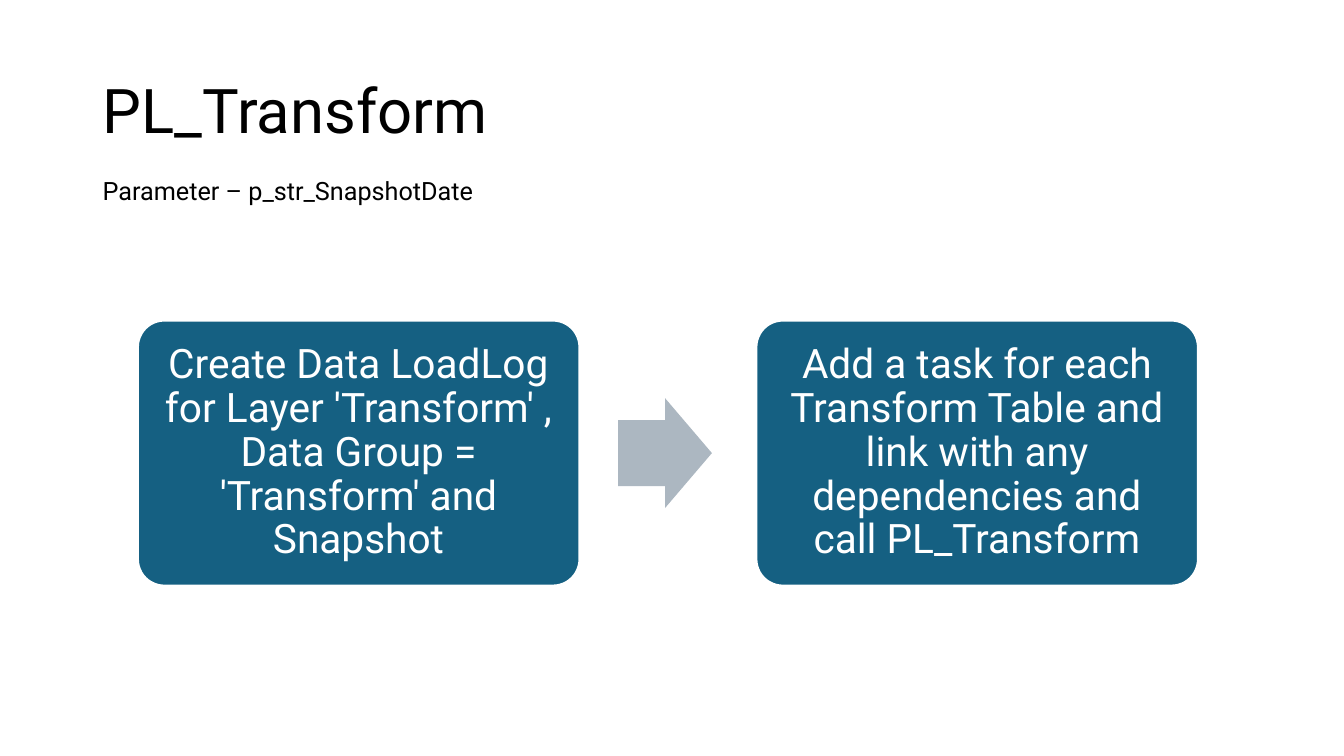
from pptx import Presentation
from pptx.dml.color import RGBColor
from pptx.enum.shapes import MSO_SHAPE
from pptx.enum.text import MSO_ANCHOR, MSO_AUTO_SIZE, PP_ALIGN
from pptx.util import Inches, Pt

WIDTH, HEIGHT = 13.33, 7.5


def color(hex_string):
    return RGBColor.from_string(hex_string)


class FlowSlide:
    """Style and current slide; lengths are shares (x, y, width, height) in percent."""

    font = "Roboto"
    black, white, teal, gray = "000000", "FFFFFF", "156082", "ACB7C1"

    def __init__(self, presentation):
        self.slide = presentation.slides.add_slide(presentation.slide_layouts[5])

    def frame(self, left, top, width, height):
        return (Inches(WIDTH * left / 100), Inches(HEIGHT * top / 100),
                Inches(WIDTH * width / 100), Inches(HEIGHT * height / 100))

    def set_text(self, shape, text, size, text_color, align=PP_ALIGN.LEFT, spacing=1.0):
        text_frame = shape.text_frame
        text_frame.text = text
        text_frame.word_wrap = True
        text_frame.auto_size = MSO_AUTO_SIZE.NONE
        paragraph = text_frame.paragraphs[0]
        paragraph.alignment = align
        paragraph.line_spacing = spacing
        for run in paragraph.runs:
            run.font.name = self.font
            run.font.size = Pt(size)
            run.font.color.rgb = color(text_color)
        return text_frame

    def title(self, text, *share):
        title = self.slide.shapes.title
        title.left, title.top, title.width, title.height = self.frame(*share)
        text_frame = self.set_text(title, text, 44, self.black, spacing=0.9)
        text_frame.vertical_anchor = MSO_ANCHOR.MIDDLE

    def label(self, text, *share):
        box = self.slide.shapes.add_textbox(*self.frame(*share))
        self.set_text(box, text, 18, self.black)

    def block(self, kind, fill, adjustments, *share):
        shape = self.slide.shapes.add_shape(kind, *self.frame(*share))
        shape.shadow.inherit = False
        shape.fill.solid()
        shape.fill.fore_color.rgb = color(fill)
        shape.line.fill.background()
        for index, value in enumerate(adjustments):
            shape.adjustments[index] = value
        return shape

    def step(self, text, *share):
        shape = self.block(MSO_SHAPE.ROUNDED_RECTANGLE, self.teal, [0.1], *share)
        shape.line.color.rgb = color(self.white)
        shape.line.width = Pt(1.5)
        text_frame = self.set_text(shape, text, 29, self.white, PP_ALIGN.CENTER, 0.9)
        text_frame.vertical_anchor = MSO_ANCHOR.MIDDLE
        text_frame.margin_left = text_frame.margin_right = Inches(0.12)
        text_frame.margin_top = text_frame.margin_bottom = Inches(0.12)

    def arrow(self, *share):
        self.block(MSO_SHAPE.RIGHT_ARROW, self.gray, [0.6, 0.5], *share)


def main():
    presentation = Presentation()
    presentation.slide_width = Inches(WIDTH)
    presentation.slide_height = Inches(HEIGHT)
    flow = FlowSlide(presentation)

    # Heading
    flow.title("PL_Transform", 6.9, 5.33, 86.25, 19.33)
    flow.label("Parameter – p_str_SnapshotDate", 6.9, 22.5, 57.4, 5.33)

    # Steps, with an arrow in each gap
    steps = [
        "Create Data LoadLog for Layer 'Transform' , Data Group = 'Transform' and Snapshot",
        "Add a task for each Transform Table and link with any dependencies and call PL_Transform",
    ]
    left, top, width, height, pitch = 10.26, 42.4, 32.86, 35.07, 46.02
    arrow_width, arrow_height = 6.97, 14.53
    for index, text in enumerate(steps):
        step_left = left + index * pitch
        flow.step(text, step_left, top, width, height)
        if index:
            flow.arrow(step_left - 10.28, top + (height - arrow_height) / 2,
                       arrow_width, arrow_height)

    presentation.save("out.pptx")


if __name__ == "__main__":
    main()
